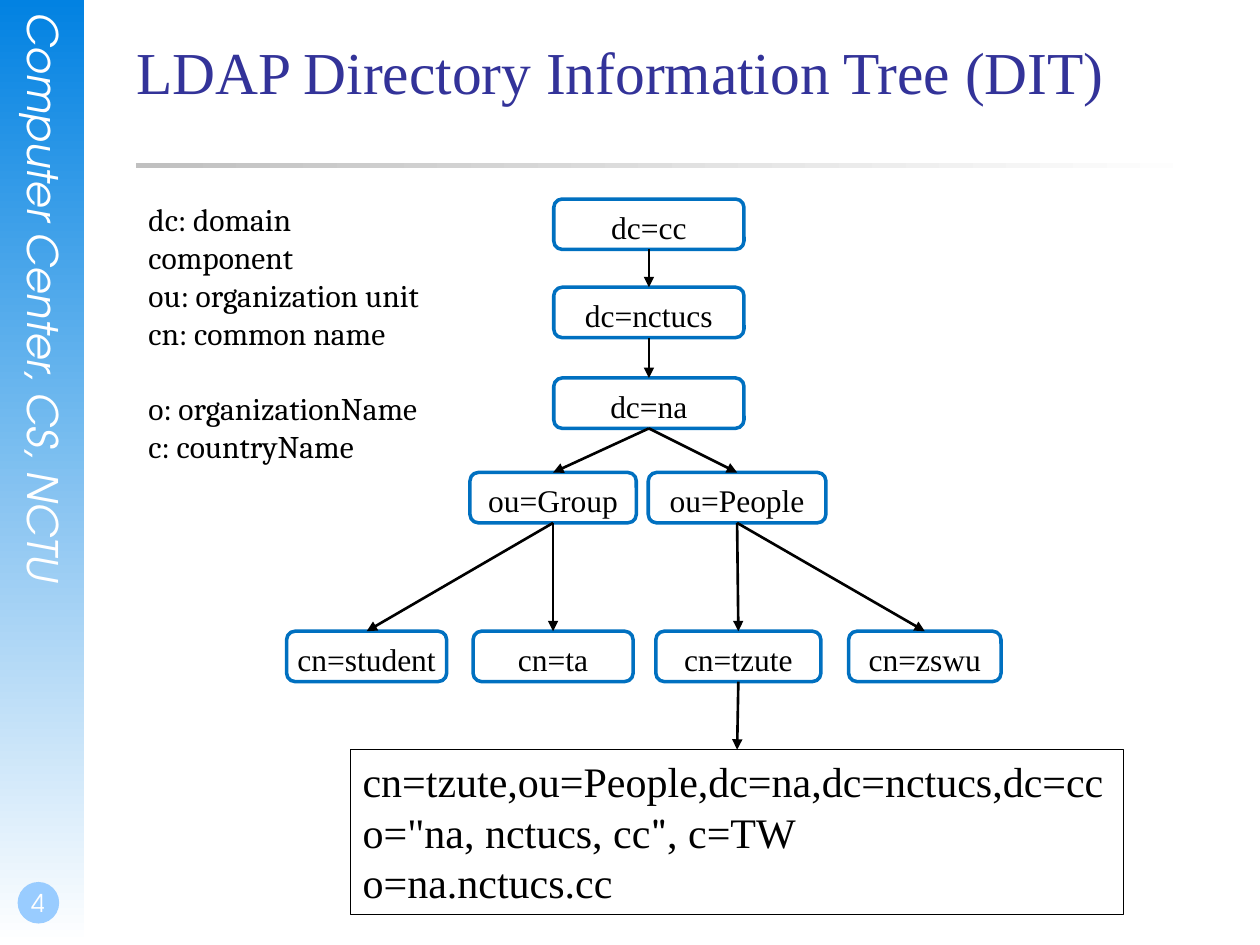
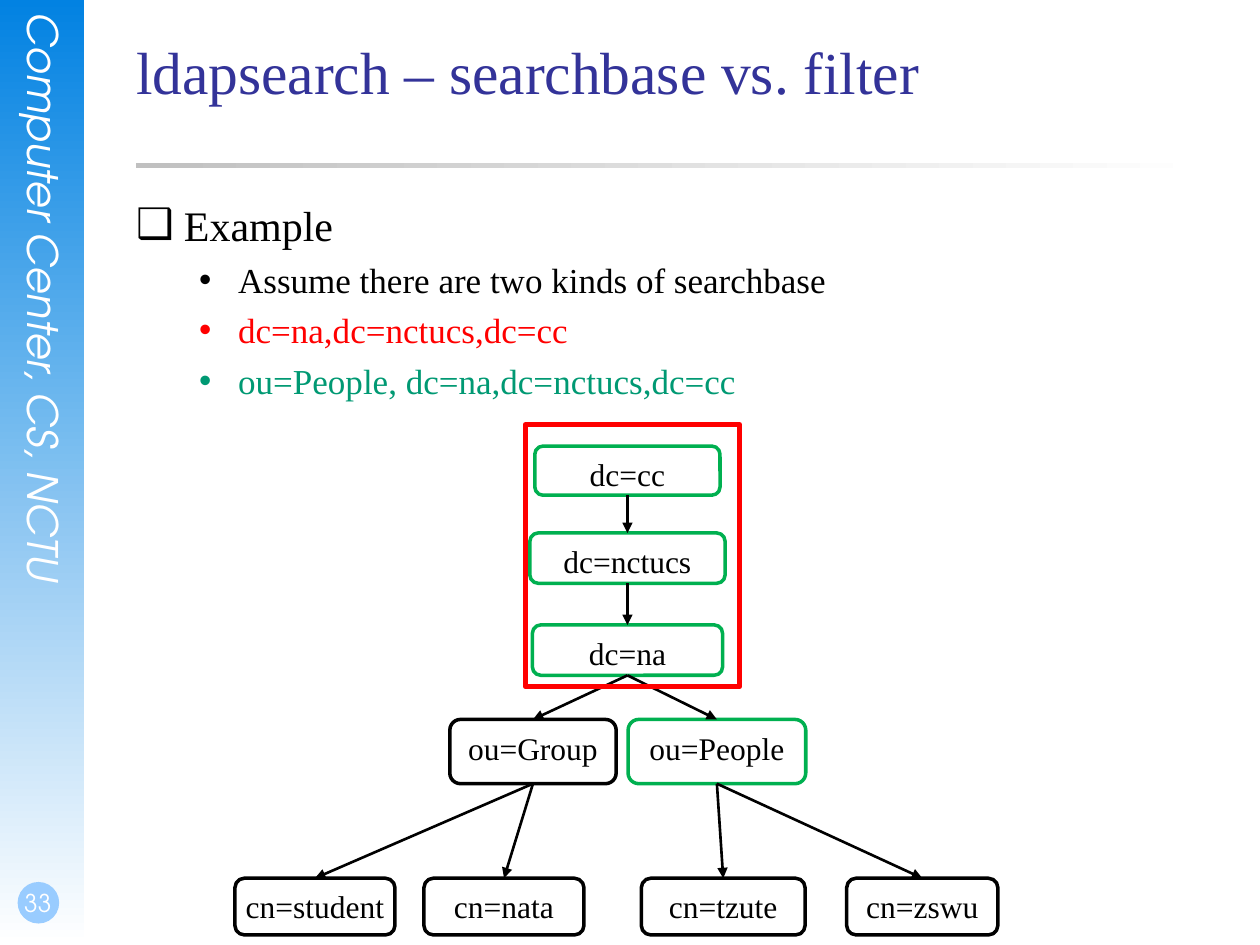
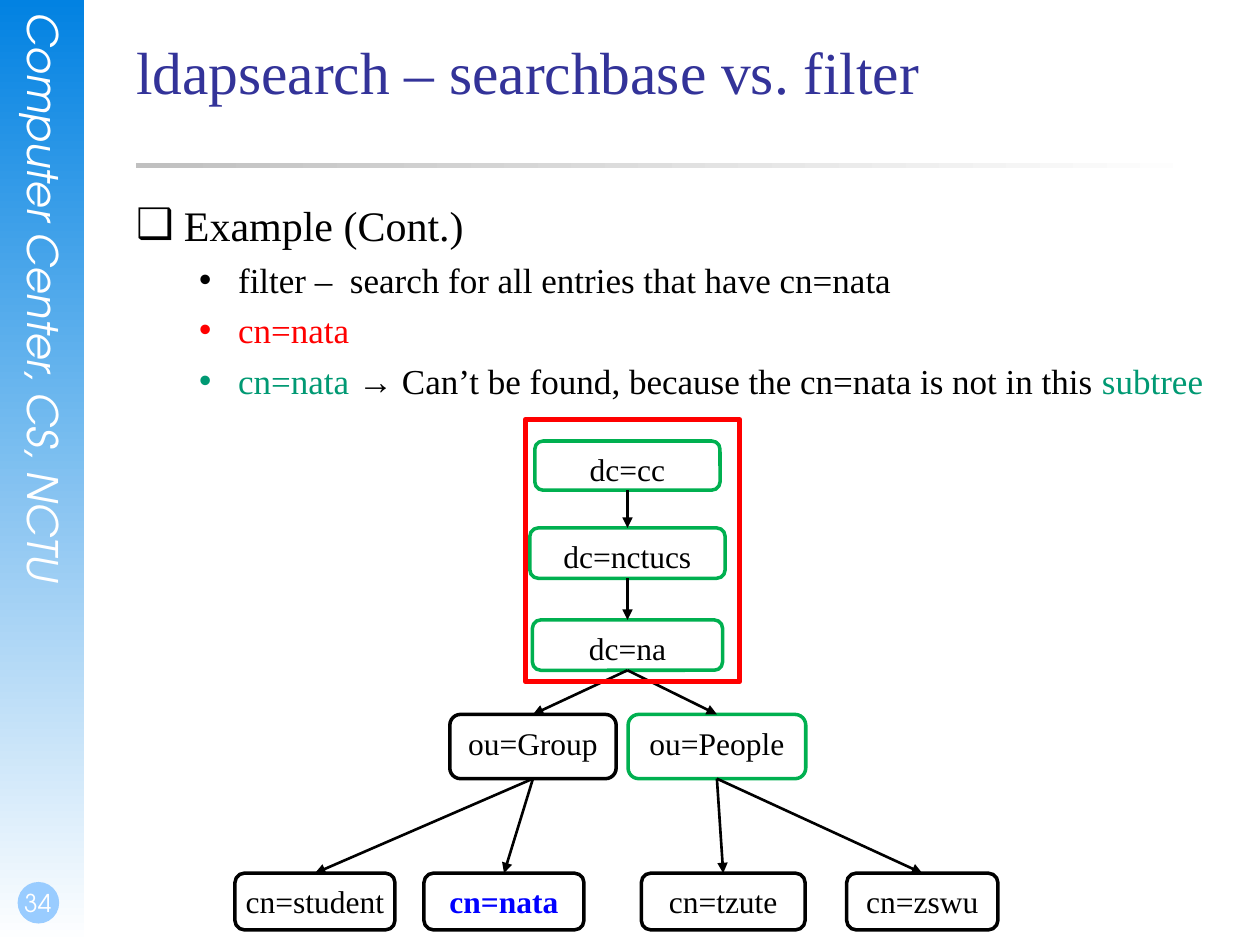
from pptx import Presentation
from pptx.dml.color import RGBColor
from pptx.enum.shapes import MSO_CONNECTOR as CONN, MSO_SHAPE as SHAPE
from pptx.enum.text import MSO_ANCHOR as ANCHOR, MSO_AUTO_SIZE as AUTO, PP_ALIGN as ALIGN
from pptx.oxml.ns import qn
from pptx.util import Inches, Pt
from lxml.etree import SubElement

# Shared style
SERIF, LEGEND_FONT, BAND_FONT = "Times New Roman", "Cambria", "TeX Gyre Adventor"
BLACK, WHITE, RED, TEAL = "000000", "FFFFFF", "FF0000", "009973"
BLUE_LINE, GREEN_LINE, FOUND = "0070C0", "00B050", "0000FF"
LEFT, WIDTH = 1.08, 8.5
rgb = RGBColor.from_string


def add_run(p, text, size, color=BLACK, font=SERIF, bold=None, italic=None):
    r = p.add_run()
    r.text = text
    f = r.font
    f.size, f.name, f.bold, f.italic = Pt(size), font, bold, italic
    f.color.rgb = rgb(color)


def add_box(s, kind, at, fill=None, line=None, weight=2.0, angle=0):
    """Fill is a hex colour, a pair of them for a gradient, or None."""
    sp = s.shapes.add_shape(kind, *map(Inches, at))
    sp.shadow.inherit = False
    if fill is None:
        sp.fill.background()
    elif isinstance(fill, tuple):
        sp.fill.gradient()
        sp.fill.gradient_angle = angle
        for stop, color in zip(sp.fill.gradient_stops, fill):
            stop.color.rgb = rgb(color)
    else:
        sp.fill.solid()
        sp.fill.fore_color.rgb = rgb(fill)
    if line:
        sp.line.color.rgb = rgb(line)
        sp.line.width = Pt(weight)
    else:
        sp.line.fill.background()
    sp.text_frame.vertical_anchor = ANCHOR.TOP
    return sp


# Trees: rows of (top, height), nodes of (name, row, centre, width, line colour)
ROOT = ["dc=cc", "dc=nctucs", "dc=na"]
DIT_ROWS = [(1.58, 0.4), (2.28, 0.4), (3, 0.4), (3.75, 0.4), (5.01, 0.4)]
DIT_NODES = [(name, row, 5.15, 1.51, BLUE_LINE) for row, name in enumerate(ROOT)] + [
    ("ou=Group", 3, 4.39, 1.32, BLUE_LINE),
    ("ou=People", 3, 5.85, 1.41, BLUE_LINE),
    ("cn=student", 4, 2.91, 1.27, BLUE_LINE),
    ("cn=ta", 4, 4.39, 1.27, BLUE_LINE),
    ("cn=tzute", 4, 5.86, 1.31, BLUE_LINE),
    ("cn=zswu", 4, 7.34, 1.21, BLUE_LINE),
]
SEARCH_ROWS = [(3.54, 0.39), (4.23, 0.4), (4.96, 0.4), (5.71, 0.51), (6.97, 0.45)]
SEARCH_NODES = [
    (name, row, 4.98, width, GREEN_LINE)
    for row, (name, width) in enumerate(zip(ROOT, [1.47, 1.55, 1.51]))
] + [
    ("ou=Group", 3, 4.23, 1.32, BLACK),
    ("ou=People", 3, 5.69, 1.41, GREEN_LINE),
    ("cn=student", 4, 2.5, 1.27, BLACK),
    ("cn=nata", 4, 4, 1.27, BLACK),
    ("cn=tzute", 4, 5.74, 1.3, BLACK),
    ("cn=zswu", 4, 7.32, 1.2, BLACK),
]
PARENT = {
    "dc=nctucs": "dc=cc", "dc=na": "dc=nctucs",
    "ou=Group": "dc=na", "ou=People": "dc=na",
    "cn=student": "ou=Group", "cn=ta": "ou=Group", "cn=nata": "ou=Group",
    "cn=tzute": "ou=People", "cn=zswu": "ou=People", "entry": "cn=tzute",
}

# Slides: number, title, bullets (each a list of runs), rows, nodes, shift, highlighted node
SEARCH_TITLE = "ldapsearch – searchbase vs. filter"
SLIDES = [
    (4, "LDAP Directory Information Tree (DIT)", [], DIT_ROWS, DIT_NODES, 0, None),
    (33, SEARCH_TITLE, [
        [("Example", BLACK)],
        [("Assume there are two kinds of searchbase", BLACK)],
        [("dc=na,dc=nctucs,dc=cc", RED)],
        [("ou=People, dc=na,dc=nctucs,dc=cc", TEAL)],
    ], SEARCH_ROWS, SEARCH_NODES, 0, None),
    (34, SEARCH_TITLE, [
        [("Example (Cont.)", BLACK)],
        [("filter –  search for all entries that have cn=nata", BLACK)],
        [("cn=nata", RED)],
        [("cn=nata ", TEAL),
         ("→ Can’t be found, because the cn=nata is not in this ", BLACK),
         ("subtree", TEAL)],
    ], SEARCH_ROWS, SEARCH_NODES, -0.04, "cn=nata"),
]

LEGEND = ["dc: domain component", "ou: organization unit", "cn: common name",
          "o: organizationName", "c: countryName"]
ENTRY = [
    [("cn=tzute,ou=People,dc=na,dc=nctucs,dc=cc", SERIF)],
    [('o="na, nctucs, cc', SERIF), ('"', LEGEND_FONT), (", c=TW", SERIF)],
    [("o=na.nctucs.cc", SERIF)],
]

prs = Presentation()
prs.slide_width, prs.slide_height = Inches(10), Inches(7.5)

for number, title, bullets, rows, nodes, shift, highlight in SLIDES:
    s = prs.slides.add_slide(prs.slide_layouts[1 if bullets else 5])

    # Side band with vertical text
    add_box(s, SHAPE.RECTANGLE, (0, 0, 0.67, 7.5), ("0282E2", WHITE), angle=270)
    tb = s.shapes.add_textbox(*map(Inches, (0.15, 0.1, 0.4, 5.11)))
    tf = tb.text_frame
    tf.word_wrap = True
    tf.margin_left = tf.margin_right = tf.margin_top = tf.margin_bottom = 0
    tf._txBody.bodyPr.set("vert", "eaVert")
    add_run(tf.paragraphs[0], "Computer Center, CS, NCTU", 24, WHITE, BAND_FONT, italic=True)

    # Slide number
    add_box(s, SHAPE.OVAL, (0.14, 7, 0.33, 0.33), "99CCFF")
    tf = s.shapes.add_textbox(*map(Inches, (0, 6.83, 0.58, 0.5))).text_frame
    tf.word_wrap = True
    tf.vertical_anchor = ANCHOR.BOTTOM
    tf.margin_left, tf.margin_right, tf.margin_top, tf.margin_bottom = map(
        Inches, (0.02, 0, 0, 0.05))
    p = tf.paragraphs[0]
    p.alignment = ALIGN.CENTER
    add_run(p, str(number), 14, WHITE, BAND_FONT)

    # Title and rule
    add_box(s, SHAPE.RECTANGLE, (LEFT, 1.29, WIDTH, 0.04), ("C0C0C0", WHITE))
    frames = [(s.shapes.title, 0.28, 1.25)]
    if bullets:
        frames.append((s.placeholders[1], 1.58, 5.08))
    for ph, top, height in frames:
        ph.left, ph.top, ph.width, ph.height = map(Inches, (LEFT, top, WIDTH, height))
        tf = ph.text_frame
        tf.auto_size = AUTO.NONE
        tf.vertical_anchor = ANCHOR.TOP
        tf.margin_left = tf.margin_right = tf.margin_top = tf.margin_bottom = 0
    p = s.shapes.title.text_frame.paragraphs[0]
    p.alignment = ALIGN.LEFT
    add_run(p, title, 34, "333399")

    # Bullets: a heading, then second-level items
    for i, runs in enumerate(bullets):
        tf = s.placeholders[1].text_frame
        p = tf.add_paragraph() if i else tf.paragraphs[0]
        size, margin, hang, mark = (20, 0.81, 0.31, "•") if i else (24, 0.38, 0.38, "❑")
        p.level = 1 if i else 0
        p.space_before = Pt(size / 4)
        pPr = p._p.get_or_add_pPr()
        pPr.set("marL", str(Inches(margin)))
        pPr.set("indent", str(-Inches(hang)))
        SubElement(pPr, qn("a:buChar"), char=mark)
        for text, color in runs:
            add_run(p, text, size, color)

    # Tree nodes
    boxes = {}
    for name, row, centre, width, line in nodes:
        top, height = rows[row]
        sp = add_box(s, SHAPE.ROUNDED_RECTANGLE,
                     (centre - width / 2, top + shift, width, height), WHITE, line)
        sp.text_frame.word_wrap = False
        p = sp.text_frame.paragraphs[0]
        p.alignment = ALIGN.CENTER
        found = name == highlight
        add_run(p, name, 18, FOUND if found else BLACK, bold=found or None)
        boxes[name] = sp

    # Full entry name and legend, on the tree's own slide
    if not bullets:
        sp = add_box(s, SHAPE.RECTANGLE, (2.78, 5.95, 6.14, 1.31), line=BLACK, weight=0.75)
        boxes["entry"] = sp
        tf = sp.text_frame
        for i, runs in enumerate(ENTRY):
            p = tf.add_paragraph() if i else tf.paragraphs[0]
            p.alignment = ALIGN.LEFT
            for text, font in runs:
                add_run(p, text, 24, font=font)
        tf = s.shapes.add_textbox(*map(Inches, (LEFT, 1.54, 2.52, 1.92))).text_frame
        tf.word_wrap = True
        for i, text in enumerate(LEGEND):
            p = tf.add_paragraph() if i else tf.paragraphs[0]
            if text.startswith("o:"):
                p.space_before = Pt(21.5)
            add_run(p, text, 18, font=LEGEND_FONT)

    # Arrows from parent to child
    for child, parent in PARENT.items():
        if child not in boxes:
            continue
        c = s.shapes.add_connector(CONN.STRAIGHT, 0, 0, 0, 0)
        c.begin_connect(boxes[parent], 2)
        c.end_connect(boxes[child], 0)
        c.line.color.rgb = rgb(BLACK)
        c.line.width = Pt(1.5)
        SubElement(c.line._get_or_add_ln(), qn("a:tailEnd"), type="triangle")
        SubElement(c._element.spPr, qn("a:effectLst"))

    # Frame around the search base
    if bullets:
        add_box(s, SHAPE.RECTANGLE, (4.17, 3.37 + shift, 1.7, 2.08), line=RED, weight=3)

prs.save("out.pptx")
